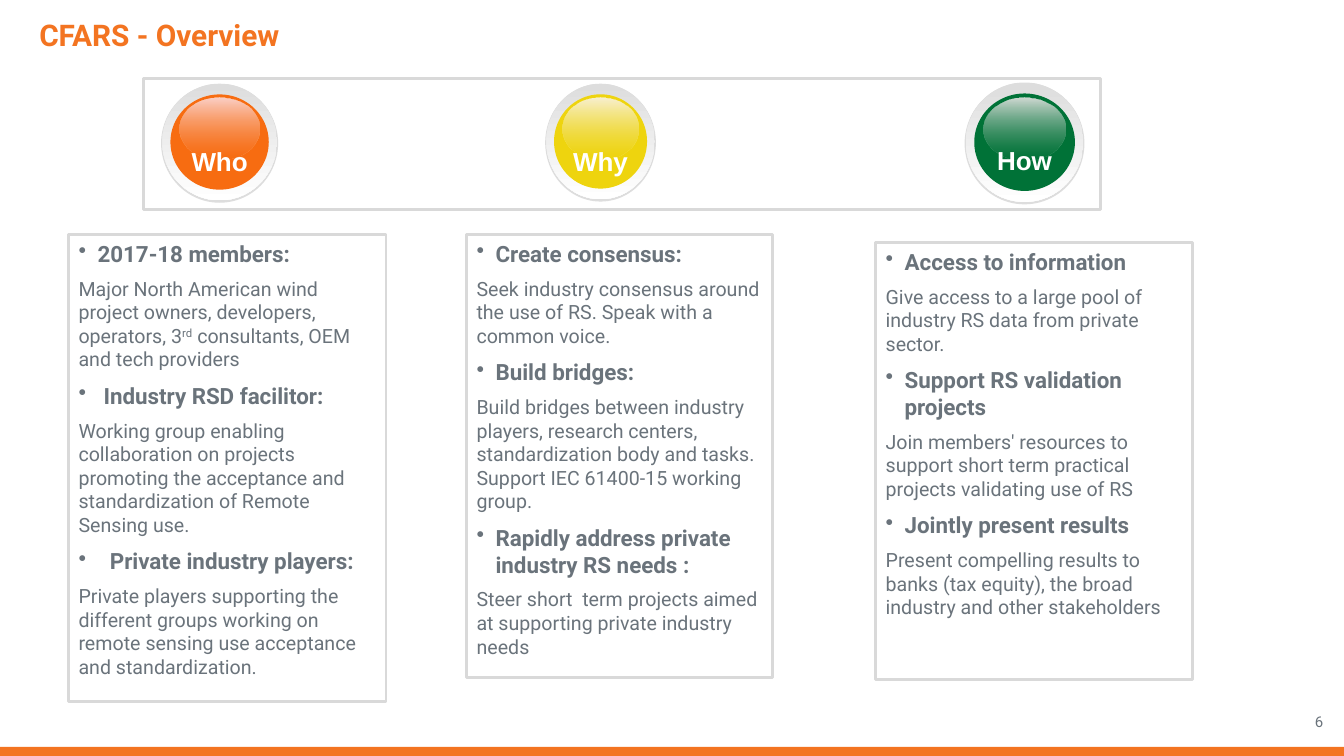
from lxml import etree
from pptx import Presentation
from pptx import util as u
from pptx.dml.color import RGBColor
from pptx.enum import shapes, text
from pptx.oxml.ns import qn

ORANGE, GREY, PALE, SILVER, WHITE = "F37421", "6A737B", "D9D9D9", "DDDDDD", "FFFFFF"
KIND = shapes.MSO_SHAPE
ALIGN = text.PP_ALIGN

BALLS = [
    ("Who", (4.06, 2.11, 2.95, 3.0), "F76C11", "FCD1C9"),
    ("How", (24.31, 2.08, 3.02, 3.07), "007237", "D2DAD4"),
    ("Why", (13.74, 2.11, 2.79, 2.97), "EED40E", "F9F1D3"),
]

PANELS = [
    ((1.73, 5.92, 8.0, 11.76), [
        ("2017-18 members:", 0.48,
         ["Major North American wind project owners, developers, operators, 3",
          ("rd", 30), " consultants, OEM and tech providers"]),
        ("Industry RSD facilitor:", 0.63,
         ["Working group enabling collaboration on projects promoting the "
          "acceptance and standardization of Remote Sensing use."]),
        ("Private industry players:", 0.79,
         ["Private players supporting the different groups working on remote "
          "sensing use acceptance and standardization."]),
    ]),
    ((11.76, 5.92, 7.7, 11.15), [
        ("Create consensus:", 0.48,
         ["Seek industry consensus around the use of RS. Speak with a common voice."]),
        ("Build bridges:", 0.48,
         ["Build bridges between industry players, research centers, standardization "
          "body and tasks. Support IEC 61400-15 working group."]),
        ("Rapidly address private industry RS needs :", 0.48,
         ["Steer short  term projects aimed at supporting private industry needs"]),
    ]),
    ((22.07, 6.12, 7.98, 11.0), [
        ("Access to information", 0.48,
         ["Give access to a large pool of industry RS data from private sector."]),
        ("Support RS validation projects", 0.48,
         ["Join members' resources to support short term practical projects "
          "validating use of RS"]),
        ("Jointly present results", 0.48,
         ["Present compelling results to banks (tax equity), the broad industry "
          "and other stakeholders"]),
    ]),
]


def paint(hue):
    """Turn a hex string into a colour."""
    return RGBColor.from_string(hue)


def span(*sizes):
    """Turn numbers into centimetre lengths."""
    return [u.Cm(size) for size in sizes]


def write(para, *runs, size=14, font="Roboto", color=GREY, bold=False,
          align=ALIGN.LEFT, before=0, indent=0):
    """Fill a paragraph with runs, each a string or a (string, baseline) pair."""
    para.alignment = align
    para.space_before = u.Pt(before)
    if indent:
        props = para._p.get_or_add_pPr()
        props.set("marL", str(u.Cm(indent)))
        props.set("indent", str(-u.Cm(indent)))
        etree.SubElement(props, qn("a:buChar")).set("char", "•")
    for item in runs:
        words, base = (item, 0) if isinstance(item, str) else item
        run = para.add_run()
        run.text = words
        run.font.name = font
        run.font.size = u.Pt(size)
        run.font.bold = bold
        run.font.color.rgb = paint(color)
        if base:
            run._r.get_or_add_rPr().set("baseline", str(base * 1000))


def draw(home, kind, box, fill=None, line=None):
    """Add a flat shape with an optional fill and outline."""
    shape = home.add_shape(kind, *span(*box))
    shape.shadow.inherit = False
    if fill:
        shape.fill.solid()
        shape.fill.fore_color.rgb = paint(fill)
    else:
        shape.fill.background()
    if line:
        shape.line.color.rgb = paint(line)
        shape.line.width = u.Pt(2)
    else:
        shape.line.fill.background()
    return shape


def shade(shape, top, low, alpha=100):
    """Give a shape a downward gradient whose last stop may be see-through."""
    shape.fill.gradient()
    shape.fill.gradient_angle = 270
    for stop, hue in zip(shape.fill.gradient_stops, (top, low)):
        stop.color.rgb = paint(hue)
    if alpha < 100:
        last = shape._element.xpath(".//a:gs/a:srgbClr")[-1]
        etree.SubElement(last, qn("a:alpha")).set("val", str(alpha * 1000))


def label(home, box, *runs, **style):
    """Add a wrapped text box with one paragraph."""
    frame = home.add_textbox(*span(*box)).text_frame
    frame.word_wrap = True
    write(frame.paragraphs[0], *runs, **style)


def ball(slide, name, box, hue, light):
    """Add a glossy round button with its name."""
    left, top, wide, high = box
    home = slide.shapes.add_group_shape().shapes

    def disc(x, y, w, h, fill):
        """Add an ellipse placed by fractions of the button."""
        part = (left + x * wide, top + y * high, w * wide, h * high)
        return draw(home, KIND.OVAL, part, fill)

    disc(0, 0, 1, 1, SILVER)
    shade(disc(0.01, 0, 0.98, 0.98, SILVER), SILVER, WHITE)
    disc(0.08, 0.09, 0.84, 0.8, hue)
    shade(disc(0.16, 0.12, 0.68, 0.52, hue), light, hue, 37)
    label(home, (left, top + 0.68, wide, 1.17), (name, -25), size=32,
          font="Arial", color=WHITE, bold=True, align=ALIGN.CENTER)


def panel(slide, box, topics):
    """Add an outlined panel of bulleted heads, each with its text."""
    frame = draw(slide.shapes, KIND.RECTANGLE, box, line=PALE).text_frame
    frame.word_wrap = True
    frame.vertical_anchor = text.MSO_ANCHOR.TOP
    for i, (head, indent, body) in enumerate(topics):
        para = frame.add_paragraph() if i else frame.paragraphs[0]
        write(para, head, size=16, bold=True, before=8 if i else 0, indent=indent)
        write(frame.add_paragraph(), *body, before=7)


def title(slide, words):
    """Place and format the slide title."""
    shape = slide.shapes.title
    shape.left, shape.top, shape.width, shape.height = span(0, 0.28, 30.28, 1.02)
    frame = shape.text_frame
    frame.margin_left, frame.margin_right = span(0.99, 0.25)
    frame.margin_top, frame.margin_bottom = span(0.13, 0.13)
    frame.vertical_anchor = text.MSO_ANCHOR.TOP
    frame.auto_size = text.MSO_AUTO_SIZE.NONE
    write(frame.paragraphs[0], words, size=21.3, color=ORANGE, bold=True)


def main():
    """Build the slide and save it."""
    deck = Presentation()
    deck.slide_width, deck.slide_height = span(33.87, 19.05)
    slide = deck.slides.add_slide(deck.slide_layouts[5])
    draw(slide.shapes, KIND.RECTANGLE, (0, 18.82, 33.87, 0.23), ORANGE)
    title(slide, "CFARS - Overview")
    label(slide.shapes, (32.18, 17.83, 1.42, 1.02), "6", size=10.7, align=ALIGN.RIGHT)
    for box, topics in PANELS:
        panel(slide, box, topics)
    for item in BALLS:
        ball(slide, *item)
    draw(slide.shapes, KIND.RECTANGLE, (3.61, 1.98, 24.13, 3.3), line=PALE)
    deck.save("out.pptx")


if __name__ == "__main__":
    main()
